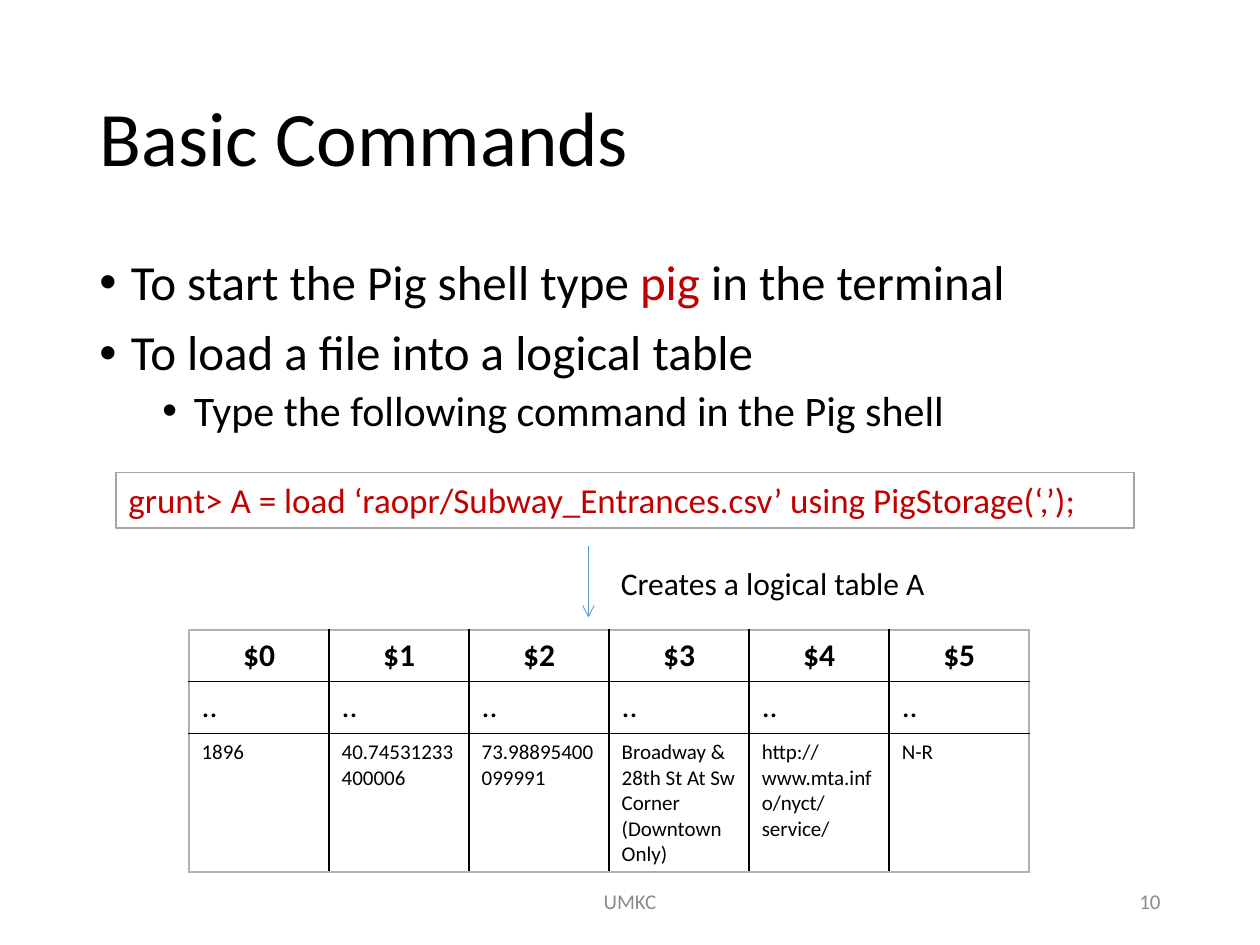
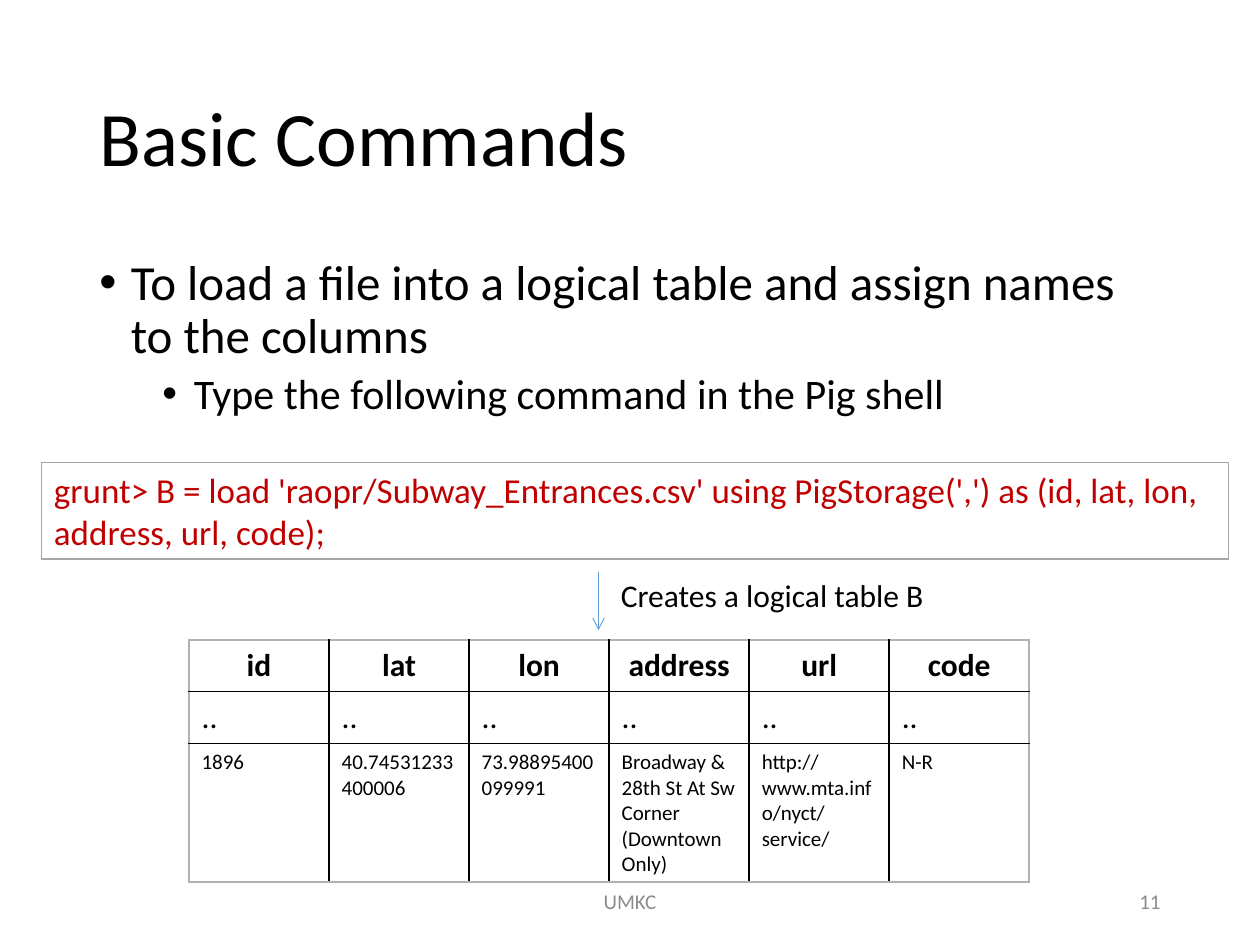
from dataclasses import dataclass

from lxml.etree import SubElement
from pptx import Presentation
from pptx.dml.color import RGBColor
from pptx.enum.shapes import MSO_CONNECTOR, MSO_SHAPE
from pptx.enum.text import MSO_ANCHOR as ANCHOR, MSO_AUTO_SIZE as AUTO, PP_ALIGN as ALIGN
from pptx.oxml import parse_xml
from pptx.oxml.ns import nsdecls, qn
from pptx.util import Inches, Pt


@dataclass(frozen=True)
class Theme:
    font: str = "Calibri"
    text: str = "000000"
    code: str = "C00000"
    muted: str = "8C8C8C"
    paper: str = "FFFFFF"
    box_line: str = "A5A5A5"
    table_frame: str = "B2B2B2"
    arrow: str = "5B9BD5"
    title_size: int = 44
    command_size: int = 20
    label_size: int = 18
    small_size: int = 12
    body_sizes: tuple = (28, 24)


THEME = Theme()
WIDTH, HEIGHT = 10, 7.5
MARGIN = 0.69
CONTENT_W = WIDTH - 2 * MARGIN
FOOTER_TOP, FOOTER_H = 6.95, 0.4
TABLE_LEFT, TABLE_W = 1.5, 6.67
ROW_HEIGHTS = (0.41, 0.41, 1.09)
NOTE_LEFT = 4.83
BULLET_INDENTS = (0.25, 0.75)
SPACE_BEFORE = (10, 5)

TITLE = "Basic Commands"
FOOTER = "UMKC"
ELLIPSIS_ROW = [".."] * 6
SAMPLE_ROW = [
    "1896", "40.74531233400006", "73.98895400099991",
    "Broadway & 28th St At Sw Corner (Downtown Only)",
    "http://www.mta.info/nyct/service/", "N-R",
]
TYPE_COMMAND = (1, [("Type the following command in the Pig shell", THEME.text)])

# Bullets are (level, [(text, colour), ...]); boxes are left, top, width, height.
SLIDES = [
    {
        "number": "10",
        "bullets": [
            (0, [("To start the Pig shell type ", THEME.text), ("pig ", THEME.code),
                 ("in the terminal", THEME.text)]),
            (0, [("To load a file into a logical table", THEME.text)]),
            TYPE_COMMAND,
        ],
        "command": "grunt> A = load ‘raopr/Subway_Entrances.csv’ using PigStorage(‘,’);",
        "command_box": (0.92, 3.75, 8.08, 0.44),
        "arrow": (4.67, 4.33, 4.9),
        "note": "Creates a logical table A",
        "note_top": 4.43,
        "columns": ["$0", "$1", "$2", "$3", "$4", "$5"],
        "table_top": 5,
    },
    {
        "number": "11",
        "bullets": [
            (0, [("To load a file into a logical table and assign names to the columns",
                  THEME.text)]),
            TYPE_COMMAND,
        ],
        "command": "grunt> B = load 'raopr/Subway_Entrances.csv' using PigStorage(',') "
                   "as (id, lat, lon, address, url, code);",
        "command_box": (0.33, 3.67, 9.42, 0.77),
        "arrow": (4.75, 4.54, 5),
        "note": "Creates a logical table B",
        "note_top": 4.52,
        "columns": ["id", "lat", "lon", "address", "url", "code"],
        "table_top": 5.08,
    },
]


def rgb(color):
    return RGBColor.from_string(color)


def box(*lengths):
    return [Inches(n) for n in lengths]


def style_run(r, size, color=THEME.text, bold=False):
    r.font.name, r.font.size, r.font.bold = THEME.font, Pt(size), bold
    r.font.color.rgb = rgb(color)


def set_text(tf, text, size, color=THEME.text, align=ALIGN.LEFT, bold=False):
    tf.text = text
    p = tf.paragraphs[0]
    p.alignment = align
    style_run(p.runs[0], size, color, bold)
    return p


def add_text(s, place, text, size, color=THEME.text, align=ALIGN.LEFT,
             anchor=ANCHOR.MIDDLE, wrap=True):
    tf = s.shapes.add_textbox(*box(*place)).text_frame
    tf.word_wrap, tf.vertical_anchor = wrap, anchor
    tf.auto_size = AUTO.NONE if wrap else AUTO.SHAPE_TO_FIT_TEXT
    return set_text(tf, text, size, color, align)


def add_frame(s, number):
    """Add the title, footer and page number that every slide carries."""
    p = add_text(s, (MARGIN, 0.4, CONTENT_W, 1.45), TITLE, THEME.title_size)
    p.line_spacing = 0.9
    for text, width, right, align in (
        (FOOTER, 3.38, WIDTH / 2 + 1.69, ALIGN.CENTER),
        (number, 2.25, WIDTH - MARGIN, ALIGN.RIGHT),
    ):
        add_text(s, (right - width, FOOTER_TOP, width, FOOTER_H), text,
                 THEME.small_size, THEME.muted, align)


def add_bullets(s, bullets):
    tf = s.shapes.add_textbox(*box(MARGIN, 2, CONTENT_W, 4.76)).text_frame
    tf.word_wrap = True
    for i, (level, runs) in enumerate(bullets):
        p = tf.add_paragraph() if i else tf.paragraphs[0]
        pPr = p._p.get_or_add_pPr()
        pPr.set("marL", str(Inches(BULLET_INDENTS[level])))
        pPr.set("indent", str(-Inches(0.25)))
        SubElement(pPr, qn("a:buFont")).set("typeface", "Arial")
        SubElement(pPr, qn("a:buChar")).set("char", "•")
        p.level, p.line_spacing = level, 0.9
        if i:
            p.space_before = Pt(SPACE_BEFORE[level])
        for text, color in runs:
            r = p.add_run()
            r.text = text
            style_run(r, THEME.body_sizes[level], color)


def add_command(s, text, place):
    sp = s.shapes.add_shape(MSO_SHAPE.RECTANGLE, *box(*place))
    sp.shadow.inherit = False
    sp.fill.solid()
    sp.fill.fore_color.rgb = rgb(THEME.paper)
    sp.line.color.rgb = rgb(THEME.box_line)
    sp.line.width = Pt(1)
    tf = sp.text_frame
    tf.word_wrap, tf.vertical_anchor = True, ANCHOR.TOP
    tf.auto_size = AUTO.SHAPE_TO_FIT_TEXT
    set_text(tf, text, THEME.command_size, THEME.code)


def add_arrow(s, x, top, bottom):
    line = s.shapes.add_connector(MSO_CONNECTOR.STRAIGHT, *box(x, top, x, bottom))
    line.line.color.rgb = rgb(THEME.arrow)
    line.line.width = Pt(0.5)
    SubElement(line.line._get_or_add_ln(), qn("a:tailEnd")).set("type", "arrow")
    SubElement(line._element.spPr, qn("a:effectLst"))


def set_borders(cell, outer):
    """Draw the four cell edges; outer tells which lie on the table's frame."""
    tcPr = cell._tc.get_or_add_tcPr()
    for i, (side, on_frame) in enumerate(zip("LRTB", outer)):
        color = THEME.table_frame if on_frame else THEME.text
        tcPr.insert(i, parse_xml(
            f'<a:ln{side} {nsdecls("a")} w="{Pt(1)}"><a:solidFill>'
            f'<a:srgbClr val="{color}"/></a:solidFill></a:ln{side}>'))


def add_data_table(s, columns, top):
    rows = [columns, ELLIPSIS_ROW, SAMPLE_ROW]
    styles = [(THEME.label_size, ALIGN.CENTER, True),
              (THEME.label_size, ALIGN.LEFT, False),
              (THEME.small_size, ALIGN.LEFT, False)]
    last_row, last_col = len(rows) - 1, len(columns) - 1
    table = s.shapes.add_table(len(rows), len(columns), *box(
        TABLE_LEFT, top, TABLE_W, sum(ROW_HEIGHTS))).table
    table.first_row = table.horz_banding = False
    for i, (row, (size, align, bold)) in enumerate(zip(rows, styles)):
        table.rows[i].height = Inches(ROW_HEIGHTS[i])
        for j, text in enumerate(row):
            cell = table.cell(i, j)
            cell.fill.background()
            set_text(cell.text_frame, text, size, align=align, bold=bold)
            set_borders(cell, (j == 0, j == last_col, i == 0, i == last_row))


def main():
    prs = Presentation()
    prs.slide_width, prs.slide_height = box(WIDTH, HEIGHT)
    for content in SLIDES:
        s = prs.slides.add_slide(prs.slide_layouts[6])
        add_frame(s, content["number"])
        add_bullets(s, content["bullets"])
        add_command(s, content["command"], content["command_box"])
        add_data_table(s, content["columns"], content["table_top"])
        add_text(s, (NOTE_LEFT, content["note_top"], 2.64, 0.4), content["note"],
                 THEME.label_size, anchor=ANCHOR.TOP, wrap=False)
        add_arrow(s, *content["arrow"])
    prs.save("out.pptx")


if __name__ == "__main__":
    main()
